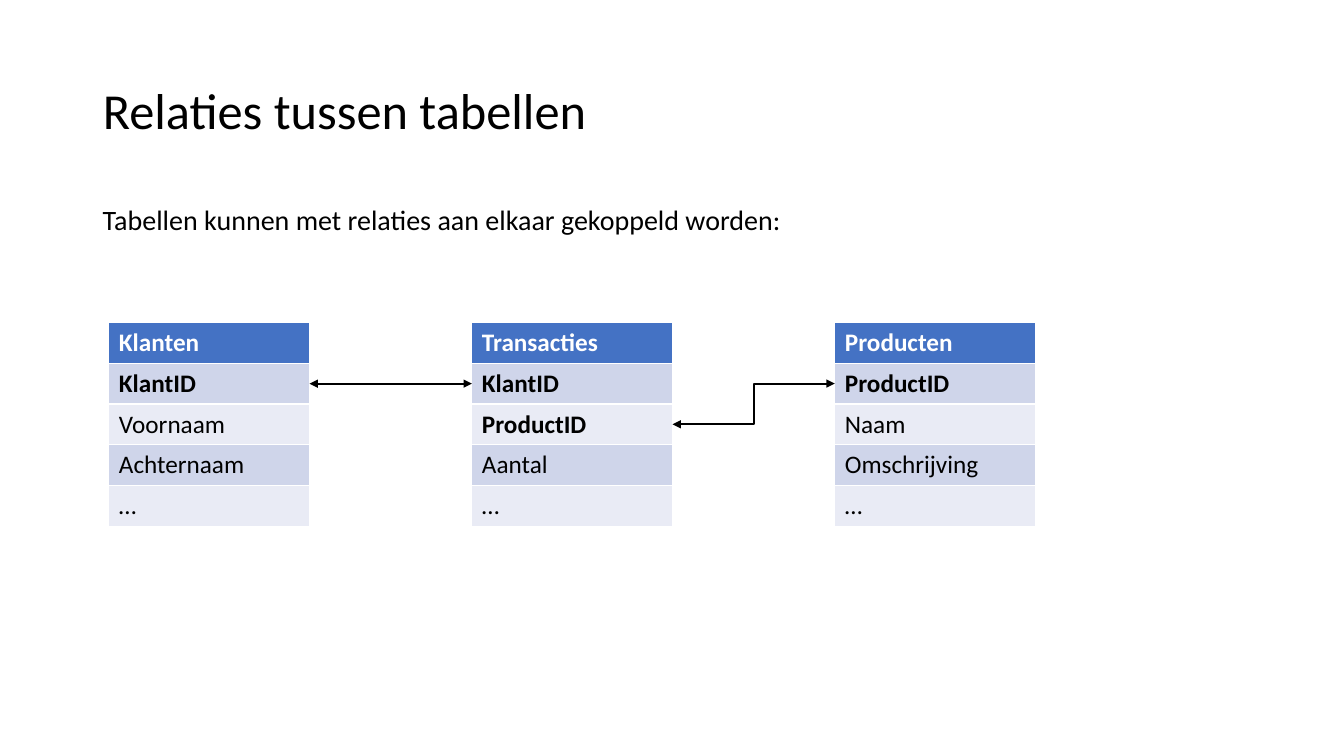
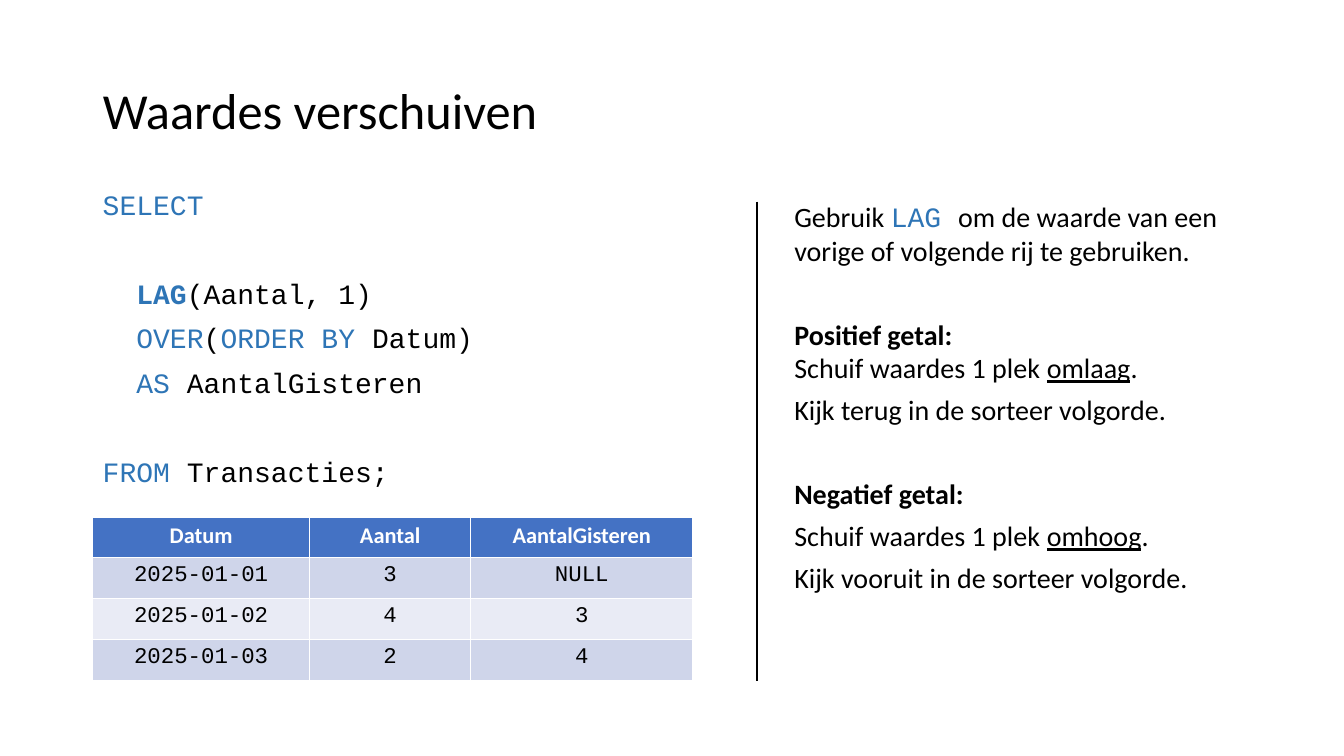
from pptx import Presentation
from pptx.dml.color import RGBColor
from pptx.enum.shapes import MSO_CONNECTOR
from pptx.enum.text import MSO_ANCHOR, MSO_AUTO_SIZE, PP_ALIGN
from pptx.oxml.ns import qn
from pptx.util import Inches, Pt
from lxml.etree import SubElement

BLACK = RGBColor(0x00, 0x00, 0x00)
WHITE = RGBColor(0xFF, 0xFF, 0xFF)
KEYWORD = RGBColor(0x2E, 0x75, 0xB6)
HEADER = RGBColor(0x44, 0x72, 0xC4)
BANDS = (RGBColor(0xCF, 0xD5, 0xEA), RGBColor(0xE9, 0xEB, 0xF5))
SANS = "Calibri"
MONO = "Courier New"

SQL = dict(name=MONO, color=KEYWORD)
SQL_BOLD = dict(SQL, bold=True)
BOLD = dict(bold=True)
UNDERLINE = dict(underline=True)


class Deck:
    """Presentation style plus the slide being built."""

    def __init__(self):
        """Start an empty widescreen presentation."""
        self.prs = Presentation()
        self.prs.slide_width = Inches(13.33)
        self.prs.slide_height = Inches(7.5)
        self.s = None

    def style(self, r, size, name=SANS, color=BLACK, bold=False, underline=False):
        """Format one run."""
        r.font.size = Pt(size)
        r.font.name = name
        r.font.color.rgb = color
        r.font.bold = bold
        r.font.underline = underline

    def slide(self, title):
        """Add a slide with a formatted title."""
        self.s = self.prs.slides.add_slide(self.prs.slide_layouts[5])
        sp = self.s.shapes.title
        sp.left, sp.top = Inches(0.92), Inches(0.4)
        sp.width, sp.height = Inches(11.5), Inches(1.45)
        tf = sp.text_frame
        tf.text = title
        tf.auto_size = MSO_AUTO_SIZE.NONE
        tf.vertical_anchor = MSO_ANCHOR.MIDDLE
        p = tf.paragraphs[0]
        p.alignment = PP_ALIGN.LEFT
        p.line_spacing = 0.9
        self.style(p.runs[0], 36)

    def text(self, x, y, w, h, paragraphs, name=SANS, line_spacing=0.9):
        """Add a text box from (space before, runs) paragraphs."""
        tf = self.s.shapes.add_textbox(Inches(x), Inches(y), Inches(w), Inches(h)).text_frame
        tf.word_wrap = True
        for i, (before, runs) in enumerate(paragraphs):
            p = tf.add_paragraph() if i else tf.paragraphs[0]
            p.space_before = Pt(before)
            p.line_spacing = line_spacing
            for text, look in runs:
                if text == "\n":
                    p.add_line_break()
                    continue
                r = p.add_run()
                r.text = text
                self.style(r, 20, **{"name": name, **look})

    def table(self, x, y, h, widths, rows, size, name=SANS, align=PP_ALIGN.LEFT):
        """Add a banded table; column names ending in ID are bold."""
        frame = self.s.shapes.add_table(len(rows), len(widths), Inches(x), Inches(y),
                                        Inches(sum(widths)), Inches(h))
        for column, width in zip(frame.table.columns, widths):
            column.width = Inches(width)
        for i, row in enumerate(rows):
            for j, value in enumerate(row):
                cell = frame.table.cell(i, j)
                cell.fill.solid()
                cell.fill.fore_color.rgb = BANDS[(i - 1) % 2] if i else HEADER
                p = cell.text_frame.paragraphs[0]
                p.text = value
                p.alignment = align
                if i:
                    self.style(p.runs[0], size, name, bold=value.endswith("ID"))
                else:
                    self.style(p.runs[0], size, color=WHITE, bold=True)

    def line(self, x1, y1, x2, y2, kind=MSO_CONNECTOR.STRAIGHT, arrows=False):
        """Add a black connector, with arrowheads at both ends if asked."""
        c = self.s.shapes.add_connector(kind, Inches(x1), Inches(y1), Inches(x2), Inches(y2))
        c.line.color.rgb = BLACK
        c.line.width = Pt(1.5)
        if arrows:
            for end in ("a:headEnd", "a:tailEnd"):
                SubElement(c.line._get_or_add_ln(), qn(end), type="triangle")
        SubElement(c._element.spPr, qn("a:effectLst"))


def relations(d):
    """Build the slide on table relations."""
    d.slide("Relaties tussen tabellen")
    d.text(0.92, 2, 11.42, 0.6,
           [(0, [("Tabellen kunnen met relaties aan elkaar gekoppeld worden:", {})])])

    left, top, width, height, pitch = 1.08, 3.2, 1.99, 2.02, 3.6
    tables = (
        ("Klanten", "KlantID", "Voornaam", "Achternaam", "…"),
        ("Transacties", "KlantID", "ProductID", "Aantal", "…"),
        ("Producten", "ProductID", "Naam", "Omschrijving", "…"),
    )
    for i, names in enumerate(tables):
        d.table(left + i * pitch, top, height, [width], [[name] for name in names], 18)

    links = ((0, 1, 1, MSO_CONNECTOR.STRAIGHT), (1, 2, 1, MSO_CONNECTOR.ELBOW))
    for i, row_from, row_to, kind in links:
        y1, y2 = (top + (row + 0.5) * height / 5 for row in (row_from, row_to))
        d.line(left + i * pitch + width, y1, left + (i + 1) * pitch, y2, kind, arrows=True)


def shifting(d):
    """Build the slide on shifting values with LAG."""
    d.slide("Waardes verschuiven")
    d.text(0.92, 1.85, 6.32, 3.2, [
        (0, [("SELECT", SQL)]),
        (42, [("  ", {}), ("LAG", SQL_BOLD), ("(Aantal, 1)", {})]),
        (10, [("  OVER", SQL), ("(", {}), ("ORDER BY ", SQL), ("Datum)", {})]),
        (10, [("  AS ", SQL), ("AantalGisteren", {})]),
        (42, [("FROM ", SQL), ("Transacties;", {})]),
    ], name=MONO)
    d.text(7.78, 1.93, 4.63, 4.82, [
        (0, [("Gebruik ", {}), ("LAG ", SQL),
             ("om de waarde van een vorige of volgende rij te gebruiken.", {})]),
        (36, [("Positief getal:", BOLD), ("\n", {}), ("Schuif waardes 1 plek ", {}),
              ("omlaag", UNDERLINE), (".", {})]),
        (6, [("Kijk terug in de sorteer volgorde.", {})]),
        (36, [("Negatief getal:", BOLD)]),
        (6, [("Schuif waardes 1 plek ", {}), ("omhoog", UNDERLINE), (".", {})]),
        (6, [("Kijk vooruit in de sorteer volgorde.", {})]),
    ], line_spacing=1.0)
    d.line(7.51, 2, 7.51, 6.76)
    d.table(0.92, 5.13, 1.62, [2.15, 1.6, 2.2], [
        ("Datum", "Aantal", "AantalGisteren"),
        ("2025-01-01", "3", "NULL"),
        ("2025-01-02", "4", "3"),
        ("2025-01-03", "2", "4"),
    ], 16, MONO, PP_ALIGN.CENTER)


def main():
    """Build and save the deck."""
    d = Deck()
    relations(d)
    shifting(d)
    d.prs.save("out.pptx")


if __name__ == "__main__":
    main()
